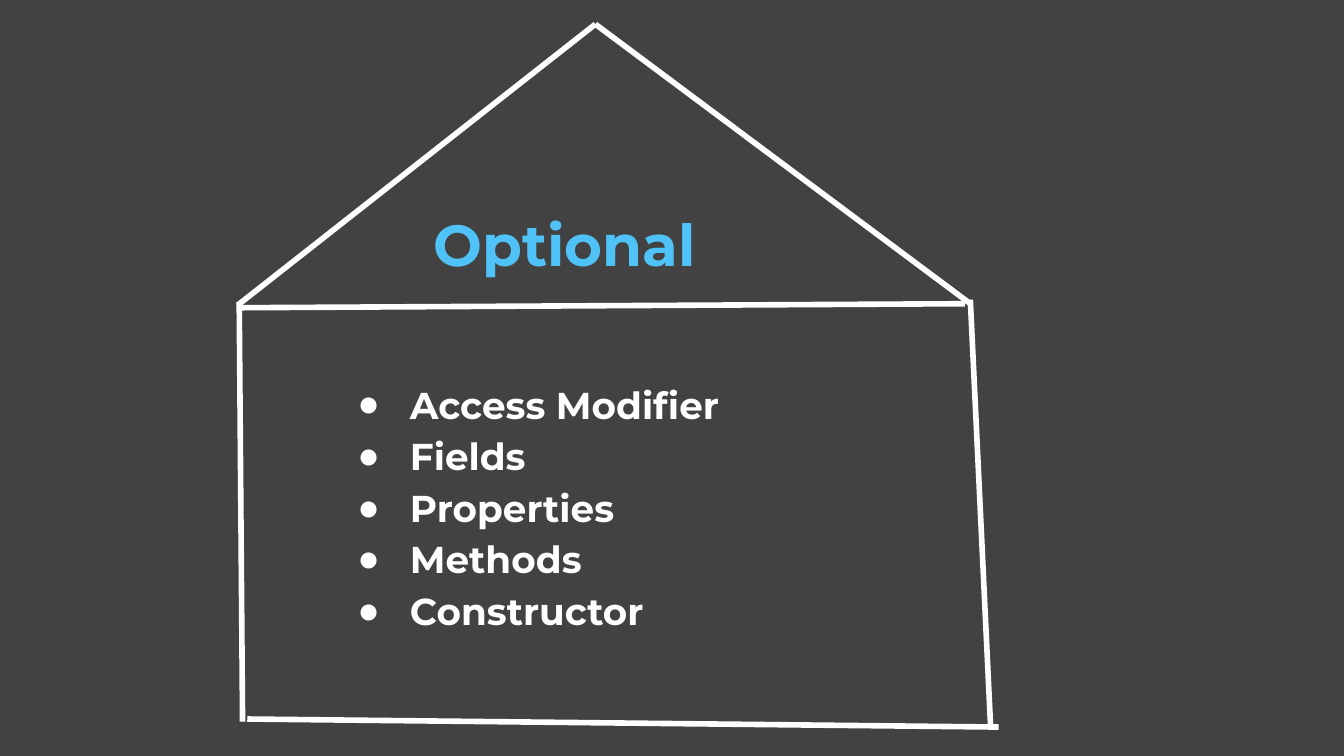
from lxml import etree
from pptx import Presentation
from pptx import util as u
from pptx.dml.color import RGBColor
from pptx.enum import shapes, text
from pptx.oxml.ns import qn

PX = 4572  # EMU per px, 200 px to the inch
FONT = "Montserrat"
COLORS = {"background": "424242", "white": "FFFFFF", "accent": "4FC3F7"}
HOUSE_LINES = {
    "roof_left": (886, 36, 354, 454),
    "roof_right": (1444, 452, 886, 36),
    "ceiling": (354, 458, 1436, 452),
    "wall_left": (356, 450, 361, 1074),
    "wall_right": (1444, 446, 1474, 1078),
    "floor": (368, 1070, 1486, 1082),
}
MEMBERS = ["Access Modifier", "Fields", "Properties", "Methods", "Constructor"]


def rgb(name):
    return RGBColor.from_string(COLORS[name])


def add_line(s, ends):
    c = s.shapes.add_connector(shapes.MSO_CONNECTOR.STRAIGHT, *(v * PX for v in ends))
    c.line.color.rgb = rgb("white")
    c.line.width = u.Pt(3)
    etree.SubElement(c._element.spPr, qn("a:effectLst"))


def place(sp, left, top, width, height):
    """Position a placeholder and return its text frame, set from the top."""
    sp.left, sp.top, sp.width, sp.height = (v * PX for v in (left, top, width, height))
    tf = sp.text_frame
    tf.word_wrap = True
    tf.auto_size = text.MSO_AUTO_SIZE.NONE
    tf.vertical_anchor = text.MSO_ANCHOR.TOP
    tf.margin_left = tf.margin_right = tf.margin_top = tf.margin_bottom = 20 * PX
    return tf


def set_indent(p, left, first):
    pPr = p._p.get_or_add_pPr()
    pPr.set("marL", str(left * PX))
    pPr.set("indent", str(first * PX))
    return pPr


def add_bullet(p, color):
    pPr = set_indent(p, 100, -78)
    clr = etree.SubElement(pPr, qn("a:buClr"))
    etree.SubElement(clr, qn("a:srgbClr"), val=COLORS[color])
    etree.SubElement(pPr, qn("a:buFont"), typeface="Arial")
    etree.SubElement(pPr, qn("a:buChar"), char="●")


def add_text(p, words, size, color):
    p.alignment = text.PP_ALIGN.LEFT
    p.space_before = u.Pt(0)
    r = p.add_run()
    r.text = words
    r.font.name = FONT
    r.font.size = u.Pt(size)
    r.font.bold = True
    r.font.color.rgb = rgb(color)


def add_title(s, words):
    tf = place(s.shapes.title, 528, 290, 780, 144)
    p = tf.paragraphs[0]
    set_indent(p, 97, 0)
    add_text(p, words, 31, "accent")


def add_list(s, items):
    tf = place(s.placeholders[1], 490, 538, 838, 418)
    for i, item in enumerate(items):
        p = tf.add_paragraph() if i else tf.paragraphs[0]
        add_bullet(p, "white")
        p.line_spacing = 1.15
        add_text(p, item, 20, "white")


def main():
    prs = Presentation()
    prs.slide_width, prs.slide_height = 2000 * PX, 1125 * PX
    s = prs.slides.add_slide(prs.slide_layouts[1])
    s.background.fill.solid()
    s.background.fill.fore_color.rgb = rgb("background")
    for ends in HOUSE_LINES.values():
        add_line(s, ends)
    add_list(s, MEMBERS)
    add_title(s, "Optional")
    prs.save("out.pptx")


if __name__ == "__main__":
    main()
